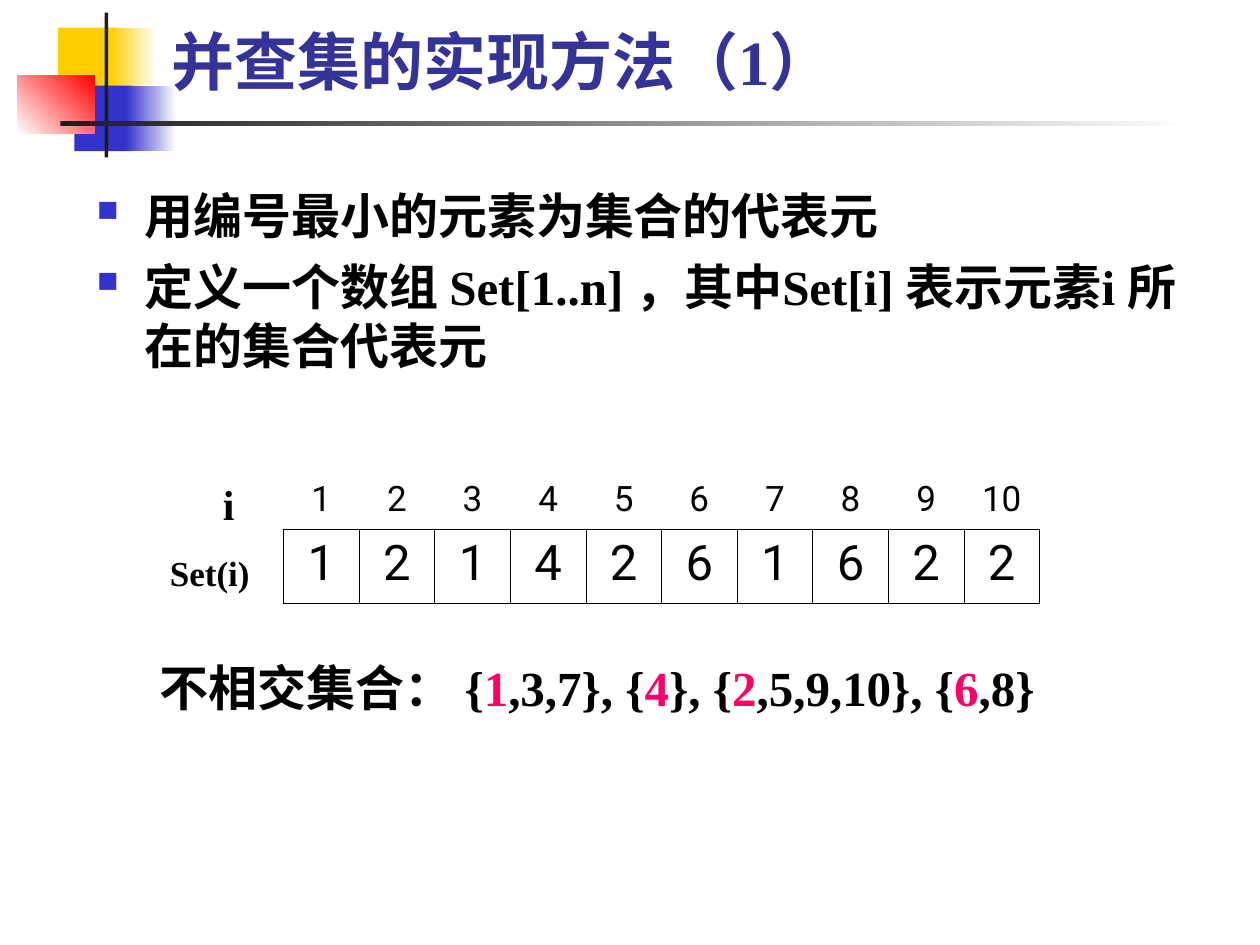
import pptx
import pptx.dml.color
import pptx.enum.shapes
import pptx.enum.text
import pptx.oxml
import pptx.oxml.ns
import pptx.util

SCALE = 9144  # EMU in one px, 100 px to the inch
HUES = {
    "gold": "FFCF01", "blue": "3333CC", "red": "FF0000", "white": "FFFFFF",
    "dark": "1C1C1C", "title": "333399", "black": "000000", "pink": "FF0066",
}
SERIF = {"name": "Times New Roman", "bold": True}
SANS = {"name": "Roboto", "bold": False}


def px(num):
    return pptx.util.Emu(round(num * SCALE))


def rgb(hue):
    return pptx.dml.color.RGBColor.from_string(HUES[hue])


def add_xml(node, text):
    space = pptx.oxml.ns.nsdecls("a")
    head, tail = text.split(">", 1)
    if head.endswith("/"):
        head = f"{head[:-1]} {space}/"
    else:
        head = f"{head} {space}"
    node.append(pptx.oxml.parse_xml(f"{head}>{tail}"))


def add_run(para, text, size, hue="black", face=SERIF):
    run = para.add_run()
    run.text = text
    for key, val in {**face, "size": pptx.util.Pt(size)}.items():
        setattr(run.font, key, val)
    run.font.color.rgb = rgb(hue)


def add_text(slide, box, **form):
    """Add an empty text box and return its frame."""
    frame = slide.shapes.add_textbox(*map(px, box)).text_frame
    for key, val in {"word_wrap": True, **form}.items():
        setattr(frame, key, val)
    return frame


def add_bar(slide, box, hue, end=None, angle=0):
    """Add a plain rectangle, or one that fades from hue to end."""
    kind = pptx.enum.shapes.MSO_SHAPE.RECTANGLE
    bar = slide.shapes.add_shape(kind, *map(px, box))
    bar.shadow.inherit = False
    bar.line.fill.background()
    if end is None:
        bar.fill.solid()
        bar.fill.fore_color.rgb = rgb(hue)
        return
    bar.fill.gradient()
    bar.fill.gradient_angle = angle
    for stop, tint in zip(bar.fill.gradient_stops, (hue, end)):
        stop.color.rgb = rgb(tint)


def add_motif(slide, left, top):
    """Draw the blocks and rules behind the title."""
    for x, y, wide, high, *paint in (
        (32, 12, 48, 52, "gold"),
        (74, 12, 36, 52, "gold", "white"),
        (45, 58, 46, 52, "blue"),
        (86, 58, 40, 52, "blue", "white"),
        (0, 50, 61, 46, "white", "red", 45),
        (69, 0, 3, 115, "dark"),
        (34, 86, 900, 4, "dark", "white"),
    ):
        add_bar(slide, (left + x, top + y, wide, high), *paint)


def add_title(slide, box, text):
    frame = add_text(slide, box,
                     vertical_anchor=pptx.enum.text.MSO_ANCHOR.BOTTOM)
    add_run(frame.paragraphs[0], text, 36, "title")


def add_points(slide, box, points):
    frame = add_text(slide, box)
    dent = px(38)
    for num, text in enumerate(points):
        para = frame.add_paragraph() if num else frame.paragraphs[0]
        prop = para._p.get_or_add_pPr()
        prop.set("marL", str(dent))
        prop.set("indent", str(-dent))
        add_xml(prop, f'<a:buClr><a:srgbClr val="{HUES["blue"]}"/></a:buClr>')
        add_xml(prop, '<a:buSzPct val="60000"/>')
        add_xml(prop, '<a:buChar char="■"/>')
        if num:
            para.space_before = pptx.util.Pt(7)
        add_run(para, text, 28)


def set_edge(cell, sides):
    """Rule the given sides of a cell and clear the others."""
    prop = cell._tc.get_or_add_tcPr()
    ink = f'<a:solidFill><a:srgbClr val="{HUES["black"]}"/></a:solidFill>'
    for side in "LRTB":
        fill = ink if side in sides else "<a:noFill/>"
        wide = pptx.util.Pt(0.45)
        add_xml(prop, f'<a:ln{side} w="{wide}">{fill}</a:ln{side}>')


def add_grid(slide, box, rows):
    """Add the index row and the ruled row of set values."""
    count = len(rows[0])
    table = slide.shapes.add_table(len(rows), count, *map(px, box)).table
    table.first_row = table.horz_banding = False
    for col in table.columns:
        col.width = px(box[2] / count)
    forms = ((45, 20, "B"), (59, 28, "LRTB"))
    for row, vals, (high, size, sides) in zip(table.rows, rows, forms):
        row.height = px(high)
        for cell, val in zip(row.cells, vals):
            set_edge(cell, sides)
            cell.fill.background()
            para = cell.text_frame.paragraphs[0]
            para.alignment = pptx.enum.text.PP_ALIGN.CENTER
            add_run(para, str(val), size, face=SANS)


def add_label(slide, box, size, parts, wrap=True):
    """Add one line of (text, hue) parts."""
    frame = add_text(slide, box, word_wrap=wrap,
                     auto_size=pptx.enum.text.MSO_AUTO_SIZE.SHAPE_TO_FIT_TEXT)
    for text, hue in parts:
        add_run(frame.paragraphs[0], text, size, hue)


def add_sets(slide, box, lead, sets):
    """List the sets, with the lowest member of each in pink."""
    parts = []
    for num, (first, *rest) in enumerate(sets):
        parts.append(("}, {" if num else lead + "{", "black"))
        parts.append((str(first), "pink"))
        if rest:
            parts.append(("".join(f",{item}" for item in rest), "black"))
    add_label(slide, box, 28, parts + [("}", "black")])


def main():
    deck = pptx.Presentation()
    deck.slide_width, deck.slide_height = px(1000), px(750)
    slide = deck.slides.add_slide(deck.slide_layouts[6])
    add_motif(slide, 14, 10)
    add_title(slide, (126, 23, 864, 60), "并查集的实现方法（1）")
    add_points(slide, (67, 142, 900, 183), (
        "用编号最小的元素为集合的代表元",
        "定义一个数组 Set[1..n] ，其中Set[i] 表示元素i 所在的集合代表元",
    ))
    heads = (1, 2, 1, 4, 2, 6, 1, 6, 2, 2)
    add_grid(slide, (225, 375, 600, 104), (range(1, 11), heads))
    add_label(slide, (167, 375, 29, 50), 24, [("i", "black")], wrap=False)
    add_label(slide, (125, 433, 92, 44), 20, [("Set(i)", "black")])
    add_sets(slide, (117, 517, 758, 57), "不相交集合： ",
             ((1, 3, 7), (4,), (2, 5, 9, 10), (6, 8)))
    deck.save("out.pptx")


if __name__ == "__main__":
    main()
